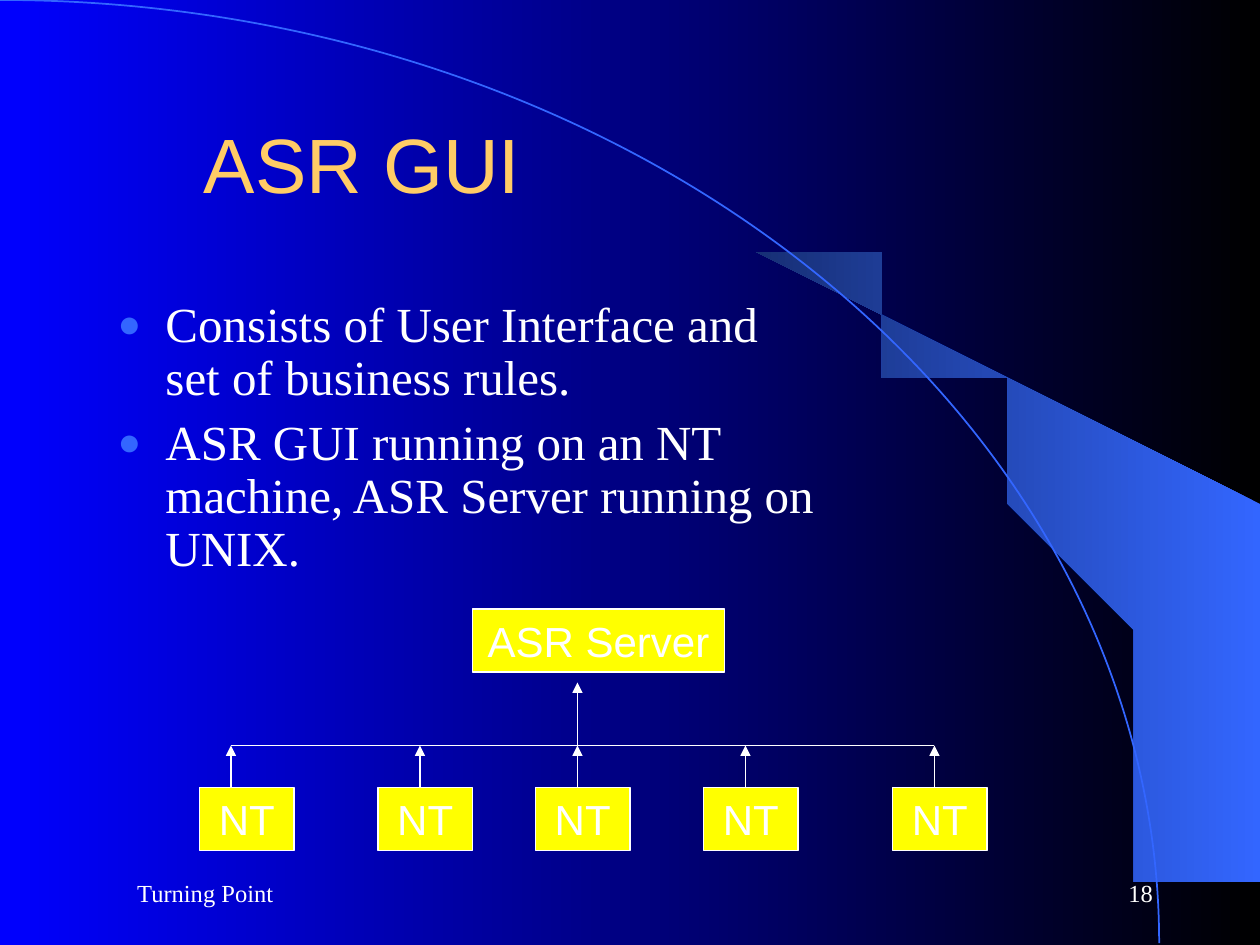
from typing import NamedTuple

from lxml import etree
from pptx import Presentation
from pptx.dml.color import RGBColor
from pptx.enum.shapes import MSO_CONNECTOR, MSO_SHAPE
from pptx.enum.text import MSO_ANCHOR, MSO_AUTO_SIZE, PP_ALIGN
from pptx.oxml.ns import qn
from pptx.util import Inches, Pt

TOP, MIDDLE = MSO_ANCHOR.TOP, MSO_ANCHOR.MIDDLE
LEFT, CENTER, RIGHT = PP_ALIGN.LEFT, PP_ALIGN.CENTER, PP_ALIGN.RIGHT
NO_FIT, GROW = MSO_AUTO_SIZE.NONE, MSO_AUTO_SIZE.SHAPE_TO_FIT_TEXT
STRAIGHT = MSO_CONNECTOR.STRAIGHT
RECTANGLE, ARC = MSO_SHAPE.RECTANGLE, MSO_SHAPE.ARC

BLACK = RGBColor(0x00, 0x00, 0x00)
BLUE = RGBColor(0x00, 0x00, 0xFF)
SKY = RGBColor(0x33, 0x66, 0xFF)
NAVY = RGBColor(0x17, 0x2F, 0x75)
GOLD = RGBColor(0xFF, 0xCC, 0x66)
YELLOW = RGBColor(0xFF, 0xFF, 0x00)
WHITE = RGBColor(0xFF, 0xFF, 0xFF)

# The slide is a grid of 120 columns by 90 rows
COLUMNS, ROWS = 120, 90
CELL = Inches(10) // COLUMNS


class Area(NamedTuple):
    column: float
    row: float
    columns: float
    rows: float


class Style(NamedTuple):
    font: dict
    paragraph: dict
    frame: dict


class Machine(NamedTuple):
    column: int
    arrow_column: int


TITLE = Style({"name": "Arial", "size": Pt(44), "color": GOLD},
              {"alignment": CENTER},
              {"vertical_anchor": MIDDLE, "auto_size": NO_FIT})
BODY = Style({"name": "Times New Roman", "size": Pt(28), "color": WHITE},
             {"alignment": LEFT, "line_spacing": 0.9, "space_before": Pt(7)},
             {"vertical_anchor": TOP, "auto_size": NO_FIT})
BOX = Style({"name": "Arial", "size": Pt(24), "color": WHITE},
            {"alignment": CENTER, "space_before": Pt(15)},
            {"vertical_anchor": TOP, "auto_size": GROW})
FOOTER = Style({"name": "Times New Roman", "size": Pt(14), "color": WHITE},
               {"alignment": LEFT},
               {"vertical_anchor": MIDDLE, "auto_size": NO_FIT})
PAGE = FOOTER._replace(paragraph={"alignment": RIGHT})

MACHINES = [Machine(19, 22), Machine(36, 40), Machine(51, 55),
            Machine(67, 71), Machine(85, 89)]
SERVER_COLUMN = 55
BUS_ROW, MACHINE_ROW, SERVER_ARROW_ROW = 71, 75, 65

WEDGE = [(9.2, 7.48), (9.99, 7.49), (9.99, 4.23), (5.89, 1.73), (6.24, 1.99),
         (6.53, 2.22), (6.85, 2.5), (7.16, 2.8), (7.62, 3.3), (8.03, 3.84),
         (8.32, 4.31), (8.58, 4.79), (8.78, 5.28), (8.93, 5.72), (9.03, 6.09),
         (9.13, 6.56), (9.17, 6.96)]


def emu(area: Area) -> list[int]:
    return [round(length * CELL) for length in area]


def apply(target, values: dict) -> None:
    for key, value in values.items():
        setattr(target, key, value)


def set_gradient(fill, start: RGBColor, end: RGBColor) -> None:
    fill.gradient()
    fill.gradient_angle = 180
    for stop, color in zip(fill.gradient_stops, (start, end)):
        stop.color.rgb = color


def set_indent(paragraph, margin: float, first: float) -> None:
    properties = paragraph._p.get_or_add_pPr()
    properties.set("marL", str(Inches(margin)))
    properties.set("indent", str(Inches(first)))


def add_bullet(paragraph) -> None:
    properties = paragraph._p.get_or_add_pPr()
    color = etree.SubElement(properties, qn("a:buClr"))
    etree.SubElement(color, qn("a:srgbClr"), val=str(SKY))
    etree.SubElement(properties, qn("a:buSzPct"), val="80000")
    etree.SubElement(properties, qn("a:buChar"), char="●")


def write(shape, lines: list[str], style: Style) -> None:
    frame = shape.text_frame
    frame.text = "\n".join(lines)
    frame.word_wrap = True
    apply(frame, style.frame)
    for paragraph in frame.paragraphs:
        apply(paragraph, style.paragraph)
        font = paragraph.runs[0].font
        font.name, font.size = style.font["name"], style.font["size"]
        font.color.rgb = style.font["color"]


def place(shape, area: Area) -> None:
    apply(shape, dict(zip(("left", "top", "width", "height"), emu(area))))


def add_box(slide, area: Area, label: str) -> None:
    box = slide.shapes.add_shape(RECTANGLE, *emu(area))
    box.shadow.inherit = False
    box.fill.solid()
    box.fill.fore_color.rgb = YELLOW
    box.line.color.rgb = WHITE
    box.line.width = Pt(0.75)
    write(box, [label], BOX)


def add_line(slide, start: tuple[int, int], end: tuple[int, int],
             arrow: bool = True) -> None:
    ends = [position * CELL for position in (*start, *end)]
    connector = slide.shapes.add_connector(STRAIGHT, *ends)
    connector.line.color.rgb = WHITE
    connector.line.width = Pt(0.75)
    if arrow:
        etree.SubElement(connector.line._get_or_add_ln(), qn("a:tailEnd"),
                         type="triangle")
    etree.SubElement(connector._element.spPr, qn("a:effectLst"))


def add_footer(slide, area: Area, label: str, style: Style) -> None:
    footer = slide.shapes.add_textbox(*emu(area))
    write(footer, [label], style)
    set_indent(footer.text_frame.paragraphs[0], 0.24, 0)


def add_decoration(slide) -> None:
    builder = slide.shapes.build_freeform(*WEDGE[0], scale=Inches(1))
    builder.add_line_segments(WEDGE[1:], close=True)
    wedge = builder.convert_to_shape()
    wedge.shadow.inherit = False
    set_gradient(wedge.fill, SKY, NAVY)
    wedge.line.fill.background()

    # Quarter ellipse from the top left corner to the bottom edge
    arc = slide.shapes.add_shape(ARC, *emu(Area(-110.4, 0, 220.8, 179.64)))
    arc.shadow.inherit = False
    arc.fill.background()
    arc.line.color.rgb = SKY
    arc.line.width = Pt(1)


def main() -> None:
    deck = Presentation()
    deck.slide_width, deck.slide_height = COLUMNS * CELL, ROWS * CELL
    slide = deck.slides.add_slide(deck.slide_layouts[1])
    set_gradient(slide.background.fill, BLACK, BLUE)
    add_decoration(slide)

    # Title and list, brought in front of the decoration
    title, body = slide.shapes.title, slide.placeholders[1]
    for placeholder in (title, body):
        slide.shapes.element.append(placeholder.element)
    place(title, Area(9, 8, 51, 15))
    write(title, ["ASR GUI"], TITLE)
    place(body, Area(10, 28, 69, 28))
    write(body, ["Consists of User Interface and set of business rules.",
                 "ASR GUI running on an NT machine, "
                 "ASR Server running on UNIX."], BODY)
    for paragraph in body.text_frame.paragraphs:
        set_indent(paragraph, 0.38, -0.38)
        add_bullet(paragraph)

    # Server and machines
    add_box(slide, Area(45, 58, 24, 6), "ASR Server")
    for machine in MACHINES:
        add_box(slide, Area(machine.column, MACHINE_ROW, 9, 6), "NT")

    # Shared line and arrows
    add_line(slide, (MACHINES[0].arrow_column, BUS_ROW),
             (MACHINES[-1].arrow_column, BUS_ROW), arrow=False)
    for machine in MACHINES:
        add_line(slide, (machine.arrow_column, MACHINE_ROW),
                 (machine.arrow_column, BUS_ROW))
    add_line(slide, (SERVER_COLUMN, BUS_ROW), (SERVER_COLUMN, SERVER_ARROW_ROW))

    # Footer
    add_footer(slide, Area(86, 82, 25, 6), "18", PAGE)
    add_footer(slide, Area(9, 82, 25, 6), "Turning Point", FOOTER)

    deck.save("out.pptx")


if __name__ == "__main__":
    main()
